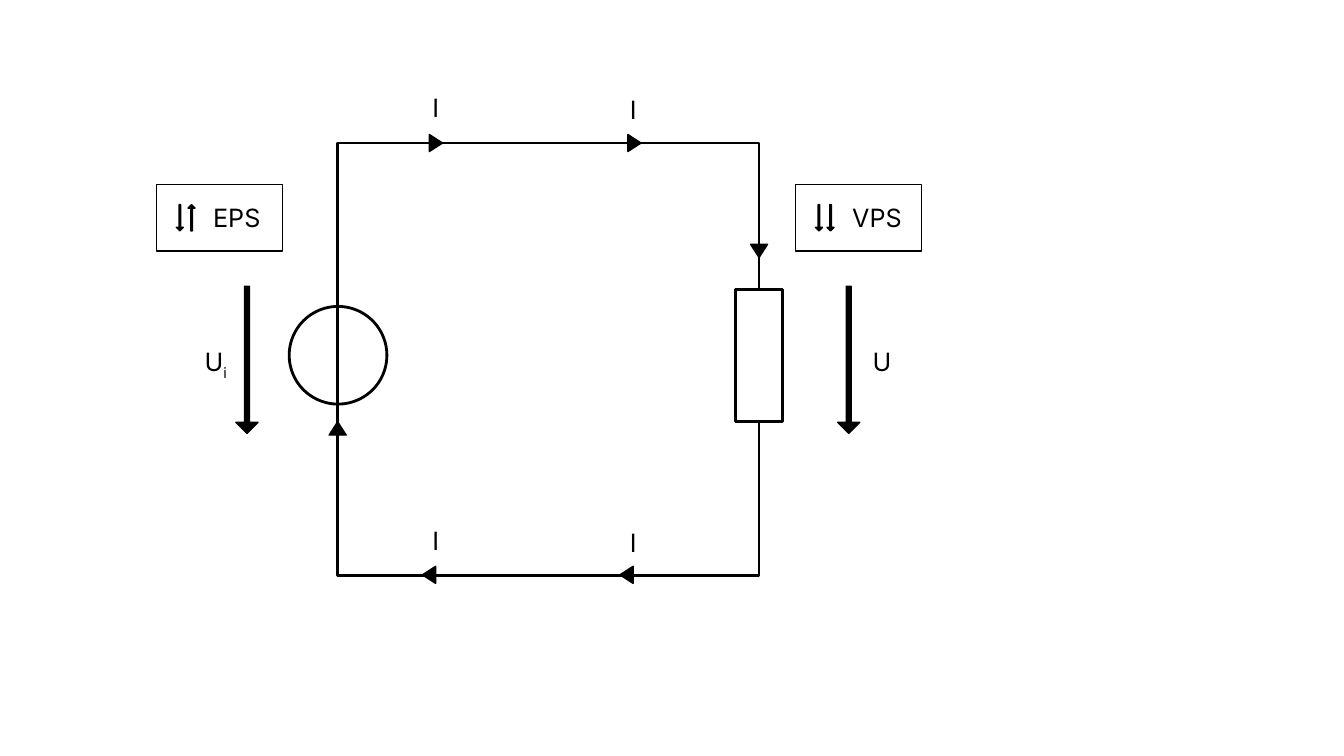
from typing import NamedTuple

from pptx import Presentation
from pptx.dml.color import RGBColor as Rgb
from pptx.enum.shapes import MSO_SHAPE as Kind
from pptx.util import Pt

INK, PAPER = "000000", "FFFFFF"


class Box(NamedTuple):
    x: float
    y: float
    w: float
    h: float


class Head(NamedTuple):
    """Current arrowhead: centre and turn."""
    x: float
    y: float
    turn: int


class Sign(NamedTuple):
    """Boxed sign rule: left edge, name, turn of its second arrow."""
    x: float
    name: str
    turn: int


deck = Presentation()
deck.slide_width, deck.slide_height = Pt(960), Pt(540)
slide = deck.slides.add_slide(deck.slide_layouts[6])


def color(code: str) -> Rgb:
    return Rgb.from_string(code)


def draw(kind: Kind, box: Box, fill: str = "", line: float = 1,
         turn: int = 0, adj: tuple = ()) -> None:
    shape = slide.shapes.add_shape(kind, *map(Pt, box))
    shape.shadow.inherit = False
    shape.rotation = turn
    for i, val in enumerate(adj):
        shape.adjustments[i] = val
    if fill:
        shape.fill.solid()
        shape.fill.fore_color.rgb = color(fill)
    else:
        shape.fill.background()
    shape.line.color.rgb = color(INK)
    shape.line.width = Pt(line)


def down(box: Box, turn: int = 0) -> None:
    draw(Kind.DOWN_ARROW, box, INK, turn=turn, adj=(0.224, 0.5))


def label(x: float, y: float, text: str, sub: str = "",
          w: float = 37.4) -> None:
    frame = slide.shapes.add_textbox(Pt(x), Pt(y), Pt(w), Pt(28.8)).text_frame
    frame.word_wrap = True
    para = frame.paragraphs[0]
    for part in filter(None, (text, sub)):
        run = para.add_run()
        run.text = part
        run.font.name = "Inter"
        run.font.size = Pt(18)
        run.font.color.rgb = color(INK)
    if sub:
        run.font._element.set("baseline", "-25000")


# Circuit loop, source and load
loop = Box(241.2, 102.2, 301, 308.9)
right, low = loop.x + loop.w, loop.y + loop.h
draw(Kind.RECTANGLE, loop, PAPER, 2)
draw(Kind.OVAL, Box(206.6, 218.9, 69.8, 69.8), line=2)
draw(Kind.RECTANGLE, Box(525.6, 206.6, 33.1, 94.3), PAPER, 2)

# Current direction along the loop
HEAD_W, HEAD_H = 37.4, 12.2
for head in (Head(297.4, loop.y, 0), Head(439.2, loop.y, 0),
             Head(right, 165.2, 90), Head(461.5, low - 0.5, 180),
             Head(320.4, low - 0.5, 180), Head(loop.x, 320, 270)):
    spot = Box(head.x - HEAD_W / 2, head.y - HEAD_H / 2, HEAD_W, HEAD_H)
    draw(Kind.RIGHT_ARROW, spot, INK, turn=head.turn, adj=(0, 0.77))

# Current labels
for top in (62.6, 371.5):
    label(301.7, top, "I")
    label(442.8, top + 1.5, "I")

# Voltage arrows and labels
for x in (168.5, 598.3):
    down(Box(x, 204.5, 15.8, 105.1))
label(139, 244.1, "U", "i")
label(616.3, 244.1, "U")

# Sign rules
for sign in (Sign(111.6, "EPS", 180), Sign(568.1, "VPS", 0)):
    for step, turn in ((14.4, 0), (22.7, sign.turn)):
        down(Box(sign.x + step, 146.2, 5, 18.7), turn)
    label(sign.x + 33.5, 141.1, sign.name, w=70.6)
    draw(Kind.RECTANGLE, Box(sign.x, 131.8, 90, 47.5))

deck.save("out.pptx")
